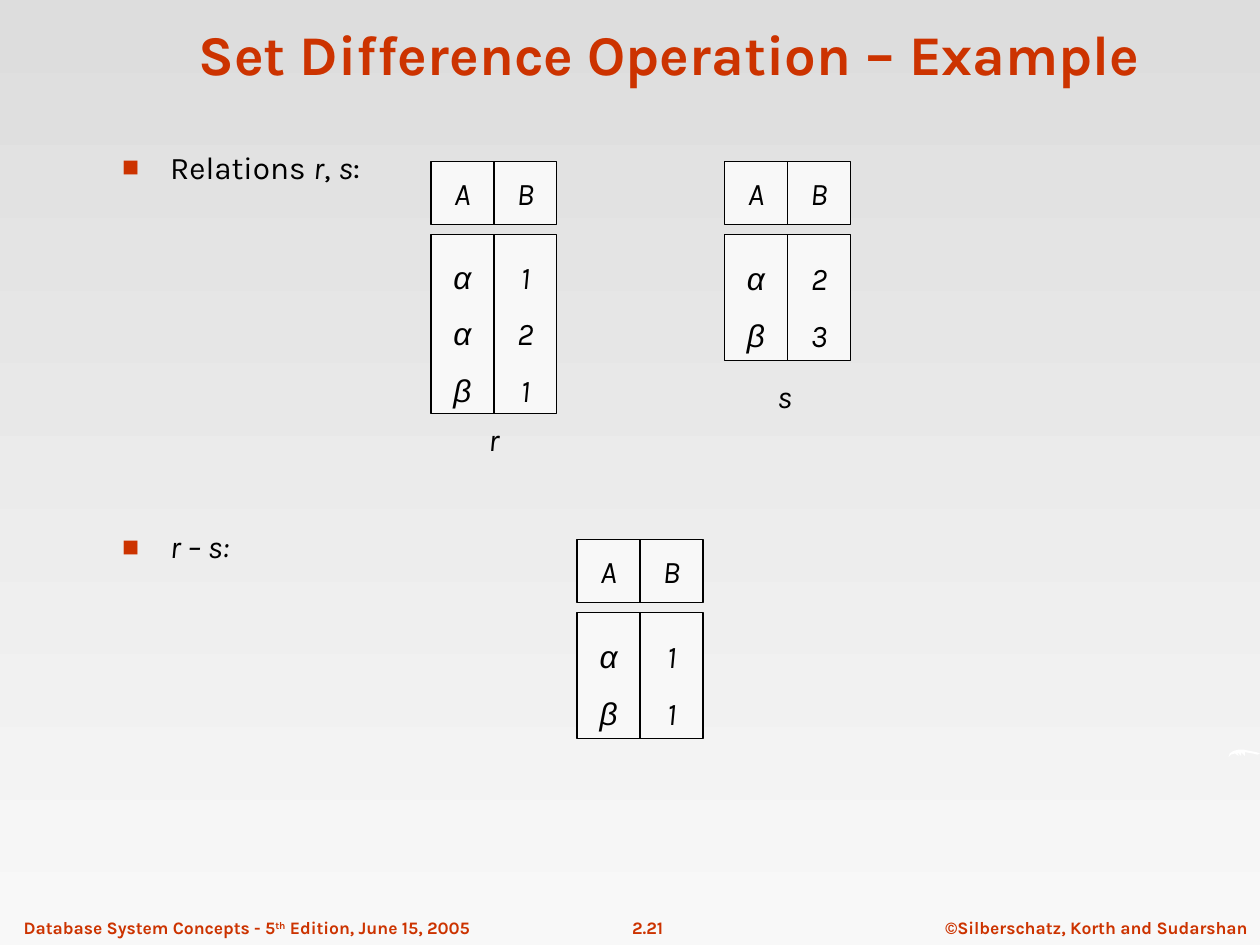
from lxml import etree
from pptx import Presentation
from pptx.dml.color import RGBColor
from pptx.enum.shapes import MSO_SHAPE as SHAPE
from pptx.enum.text import MSO_ANCHOR as ANCHOR, MSO_AUTO_SIZE as AUTO, PP_ALIGN as ALIGN
from pptx.oxml.ns import qn
from pptx.util import Inches, Pt

RED = RGBColor(0xCC, 0x33, 0x00)
BLACK = RGBColor(0x00, 0x00, 0x00)
WHITE = RGBColor(0xFF, 0xFF, 0xFF)
CELL = RGBColor(0xF8, 0xF8, 0xF8)
TOP = RGBColor(0xDD, 0xDD, 0xDD)


def write(p, runs, size, color, align=ALIGN.LEFT, bold=False, font="Karla"):
    p.alignment = align
    for text, italic in runs:
        r = p.add_run()
        r.text = text
        r.font.name = font
        r.font.size = Pt(size)
        r.font.bold = bold
        r.font.italic = italic
        r.font.color.rgb = color


def add_bullet(p, line_spacing):
    pPr = p._p.get_or_add_pPr()
    pPr.set("marL", str(Inches(0.38)))
    pPr.set("indent", str(-Inches(0.38)))
    clr = etree.SubElement(pPr, qn("a:buClr"))
    etree.SubElement(clr, qn("a:srgbClr")).set("val", str(RED))
    etree.SubElement(pPr, qn("a:buSzPct")).set("val", "90000")
    etree.SubElement(pPr, qn("a:buFont")).set("typeface", "Arial")
    etree.SubElement(pPr, qn("a:buChar")).set("char", "■")
    p.line_spacing = line_spacing
    p.space_before = Pt(0)


prs = Presentation()
prs.slide_width = Inches(10)
prs.slide_height = Inches(7.5)
s = prs.slides.add_slide(prs.slide_layouts[1])

fill = s.background.fill
fill.gradient()
fill.gradient_angle = 270
for stop, color in zip(fill.gradient_stops, (TOP, CELL)):
    stop.color.rgb = color

swoosh = [
    (9.75, 6.01), (9.76, 5.98), (9.79, 5.96), (9.83, 5.95), (9.87, 5.95),
    (9.92, 5.96), (9.97, 5.97), (10, 5.98), (9.98, 5.99), (9.94, 5.98),
    (9.88, 5.97), (9.88, 6), (9.85, 5.97), (9.85, 6), (9.82, 5.97),
    (9.83, 6), (9.8, 5.98), (9.77, 5.99),
]
points = [(Inches(x), Inches(y)) for x, y in swoosh]
fb = s.shapes.build_freeform(*points[0])
fb.add_line_segments(points[1:], close=True)
sp = fb.convert_to_shape()
sp.shadow.inherit = False
sp.fill.solid()
sp.fill.fore_color.rgb = WHITE
sp.line.fill.background()

footers = [
    (7.36, 2.68, ALIGN.CENTER, ["©Silberschatz, Korth and Sudarshan"]),
    (4.63, 1.02, ALIGN.CENTER, ["2.21"]),
    (0.09, 3.87, ALIGN.LEFT, ["Database System Concepts - 5", "th", " Edition, June 15, 2005"]),
]
for x, w, align, texts in footers:
    sp = s.shapes.add_textbox(Inches(x), Inches(7.23), Inches(w), Inches(0.27))
    tf = sp.text_frame
    tf.word_wrap = False
    p = tf.paragraphs[0]
    write(p, [(t, False) for t in texts], 10, RED, align, bold=True)
    for r in p.runs:
        if r.text == "th":
            r._r.get_or_add_rPr().set("baseline", "30000")

title = s.shapes.title
title.left, title.top = Inches(0.9), Inches(0.07)
title.width, title.height = Inches(8.83), Inches(0.67)
tf = title.text_frame
tf.auto_size = AUTO.NONE
tf.vertical_anchor = ANCHOR.BOTTOM
write(tf.paragraphs[0], [("Set Difference Operation – Example", False)], 32, RED,
      ALIGN.CENTER, bold=True)

body = s.placeholders[1]
body.left, body.top = Inches(0.87), Inches(1.18)
body.width, body.height = Inches(7.5), Inches(0.37)
result = s.shapes.add_textbox(Inches(0.87), Inches(4.17), Inches(7.69), Inches(0.36))
relations = [("Relations ", False), ("r", True), (", ", False), ("s", True), (":", False)]
for sp, spacing, runs in [(body, 0.8, relations), (result, 0.9, [("r – s:", True)])]:
    tf = sp.text_frame
    tf.word_wrap = True
    tf.auto_size = AUTO.NONE
    add_bullet(tf.paragraphs[0], spacing)
    write(tf.paragraphs[0], runs, 18, BLACK)

tables = [
    (3.42, 1.28, 1.42, ("ααβ", "121")),
    (5.75, 1.28, 1, ("αβ", "23")),
    (4.58, 4.28, 1, ("αβ", "11")),
]
for left, top, height, columns in tables:
    for i, (head, values) in enumerate(zip("AB", columns)):
        for y, h, lines, spacing in [(top, 0.5, head, 1), (top + 0.58, height, values, 1.5)]:
            sp = s.shapes.add_shape(SHAPE.RECTANGLE, Inches(left + i * 0.5), Inches(y),
                                    Inches(0.5), Inches(h))
            sp.shadow.inherit = False
            sp.fill.solid()
            sp.fill.fore_color.rgb = CELL
            sp.line.color.rgb = BLACK
            sp.line.width = Pt(0.75)
            tf = sp.text_frame
            tf.word_wrap = False
            tf.vertical_anchor = ANCHOR.MIDDLE
            for n, text in enumerate(lines):
                p = tf.add_paragraph() if n else tf.paragraphs[0]
                p.line_spacing = float(spacing)
                write(p, [(text, True)], 18, BLACK, ALIGN.CENTER,
                      font="Arial" if text in "αβ" else "Karla")

for name, x, y in [("r", 3.77, 3.28), ("s", 6.07, 2.94)]:
    sp = s.shapes.add_textbox(Inches(x), Inches(y), Inches(0.3), Inches(0.4))
    tf = sp.text_frame
    tf.word_wrap = False
    tf.vertical_anchor = ANCHOR.MIDDLE
    write(tf.paragraphs[0], [(name, True)], 18, BLACK, ALIGN.CENTER)

prs.save("out.pptx")
